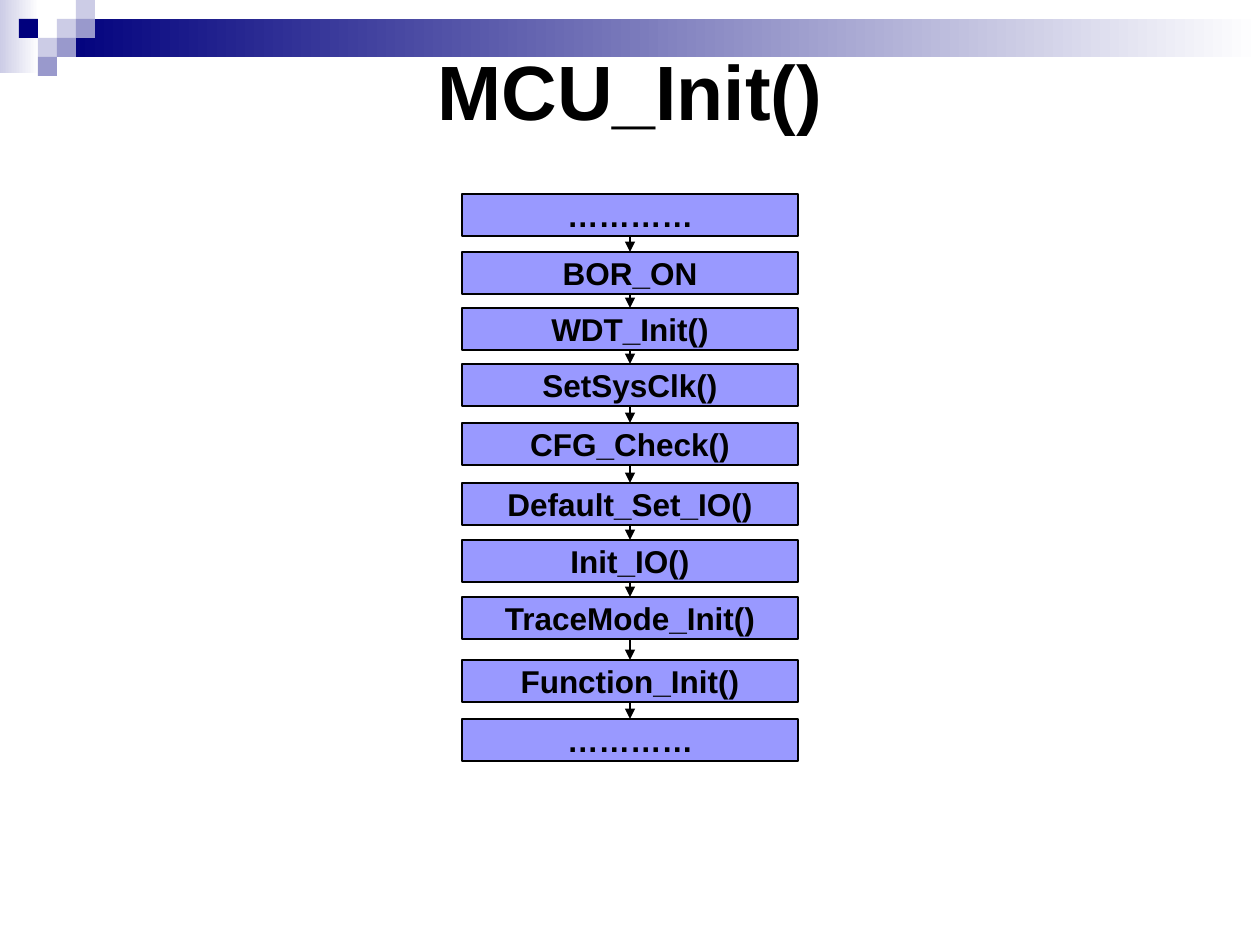
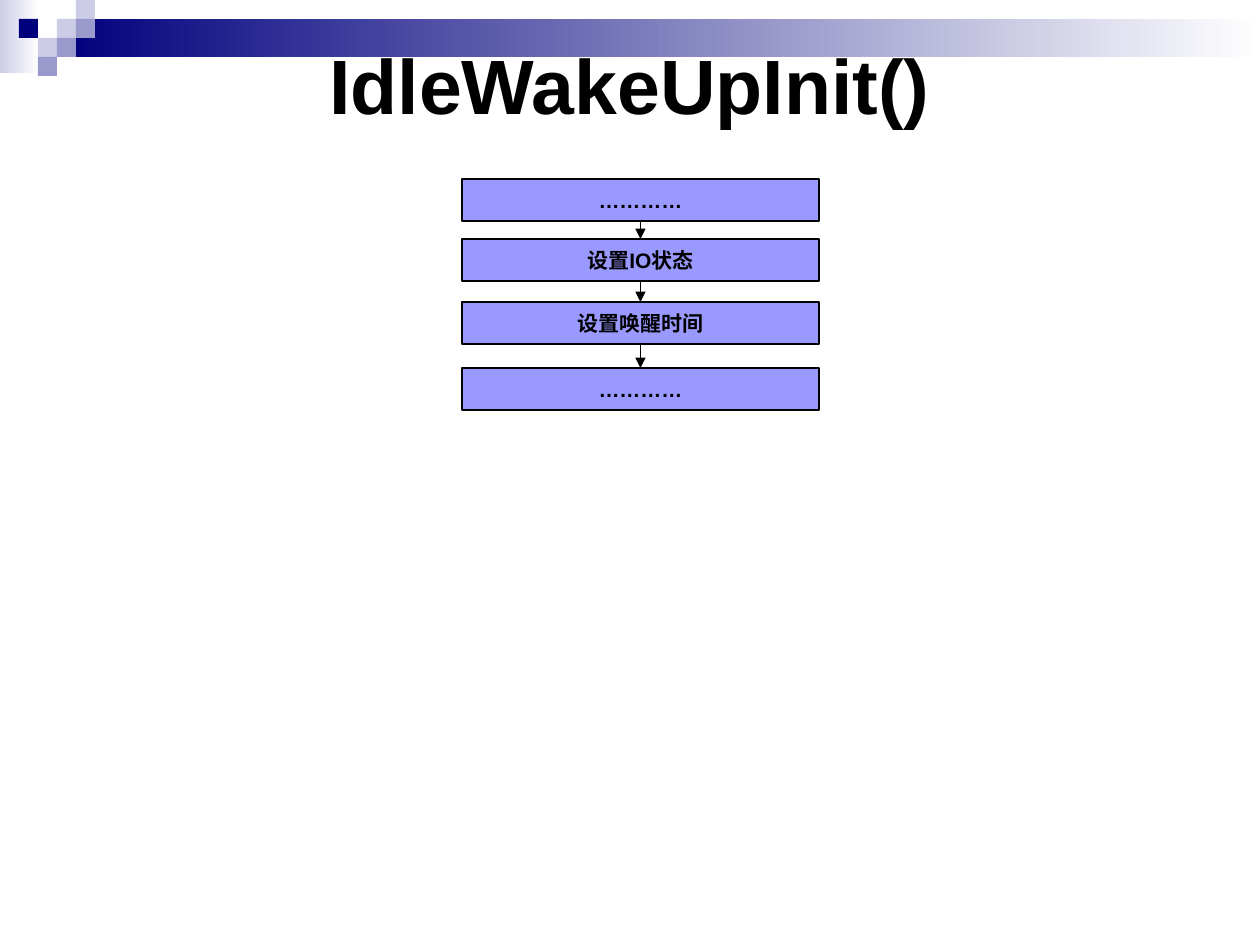
from itertools import pairwise

from lxml import etree
from pptx import Presentation
from pptx.dml.color import RGBColor
from pptx.enum.shapes import MSO_CONNECTOR, MSO_SHAPE
from pptx.enum.text import MSO_ANCHOR, PP_ALIGN
from pptx.oxml.ns import qn
from pptx.util import Pt

EMU_PER_PX = 914400 / 126
SLIDE_WIDTH, SLIDE_HEIGHT = 1260, 945

# Shared colours
BLACK, BOX_BLUE = "000000", "9999FF"
NAVY, LILAC, PALE, WHITE = "00007D", "9999CC", "CCCCE6", "FFFFFF"

# Corner mosaic: column, row and colour on a square grid
TILE = 19
MOSAIC = [
    (3, 1, PALE), (4, 0, PALE), (4, 1, LILAC), (2, 2, PALE),
    (1, 1, NAVY), (3, 2, LILAC), (2, 3, LILAC),
]
# Fading bands: left, top, width, height, starting colour
BANDS = [(0, 0, 39, 73, PALE), (57, TILE, 1203, 2 * TILE, NAVY)]

STEP_LEFT, STEP_HEIGHT = 462, 42

FLOWS = [
    {
        "title": "MCU_Init()", "title_top": 53, "title_height": 73,
        "step_width": 336, "size": 18,
        "steps": [
            ("…………", 194), ("BOR_ON", 252), ("WDT_Init()", 308),
            ("SetSysClk()", 364), ("CFG_Check()", 423),
            ("Default_Set_IO()", 483), ("Init_IO()", 540),
            ("TraceMode_Init()", 597), ("Function_Init()", 660),
            ("…………", 719),
        ],
    },
    {
        "title": "IdleWakeUpInit()", "title_top": 63, "title_height": 42,
        "step_width": 357, "size": 12,
        "steps": [
            ("…………", 179), ("设置IO状态", 239),
            ("设置唤醒时间", 302), ("…………", 368),
        ],
    },
]


def px(*lengths):
    return [round(length * EMU_PER_PX) for length in lengths]


def write(shape, text, size):
    """Centred bold black text in the middle of a shape."""
    frame = shape.text_frame
    frame.text = text
    frame.vertical_anchor = MSO_ANCHOR.MIDDLE
    paragraph = frame.paragraphs[0]
    paragraph.alignment = PP_ALIGN.CENTER
    font = paragraph.runs[0].font
    font.name, font.size, font.bold = "Arial", Pt(size), True
    font.color.rgb = RGBColor.from_string(BLACK)


prs = Presentation()
prs.slide_width, prs.slide_height = px(SLIDE_WIDTH, SLIDE_HEIGHT)

for flow in FLOWS:
    slide = prs.slides.add_slide(prs.slide_layouts[6])
    shapes = slide.shapes

    # Fading bands
    for *bounds, start_colour in BANDS:
        band = shapes.add_shape(MSO_SHAPE.RECTANGLE, *px(*bounds))
        band.shadow.inherit = False
        band.line.fill.background()
        band.fill.gradient()
        band.fill.gradient_angle = 0
        for stop, colour in zip(band.fill.gradient_stops, (start_colour, WHITE)):
            stop.color.rgb = RGBColor.from_string(colour)

    # Corner mosaic
    for column, row, colour in MOSAIC:
        tile = shapes.add_shape(
            MSO_SHAPE.RECTANGLE, *px(column * TILE, row * TILE, TILE, TILE))
        tile.shadow.inherit = False
        tile.line.fill.background()
        tile.fill.solid()
        tile.fill.fore_color.rgb = RGBColor.from_string(colour)

    # Title
    title = shapes.add_textbox(
        *px(63, flow["title_top"], 1134, flow["title_height"]))
    title.text_frame.word_wrap = True
    write(title, flow["title"], 44)

    # Steps
    for label, top in flow["steps"]:
        step = shapes.add_shape(
            MSO_SHAPE.RECTANGLE,
            *px(STEP_LEFT, top, flow["step_width"], STEP_HEIGHT))
        step.shadow.inherit = False
        step.fill.solid()
        step.fill.fore_color.rgb = RGBColor.from_string(BOX_BLUE)
        step.line.color.rgb = RGBColor.from_string(BLACK)
        step.line.width = Pt(0.75)
        step.text_frame.word_wrap = False
        write(step, label, flow["size"])

    # Arrows from each step to the next
    middle = STEP_LEFT + flow["step_width"] / 2
    for (_, top), (_, next_top) in pairwise(flow["steps"]):
        arrow = shapes.add_connector(
            MSO_CONNECTOR.STRAIGHT,
            *px(middle, top + STEP_HEIGHT, middle, next_top))
        arrow.line.color.rgb = RGBColor.from_string(BLACK)
        arrow.line.width = Pt(0.75)
        etree.SubElement(arrow.line._get_or_add_ln(), qn("a:tailEnd"), type="triangle")
        etree.SubElement(arrow._element.spPr, qn("a:effectLst"))

prs.save("out.pptx")
